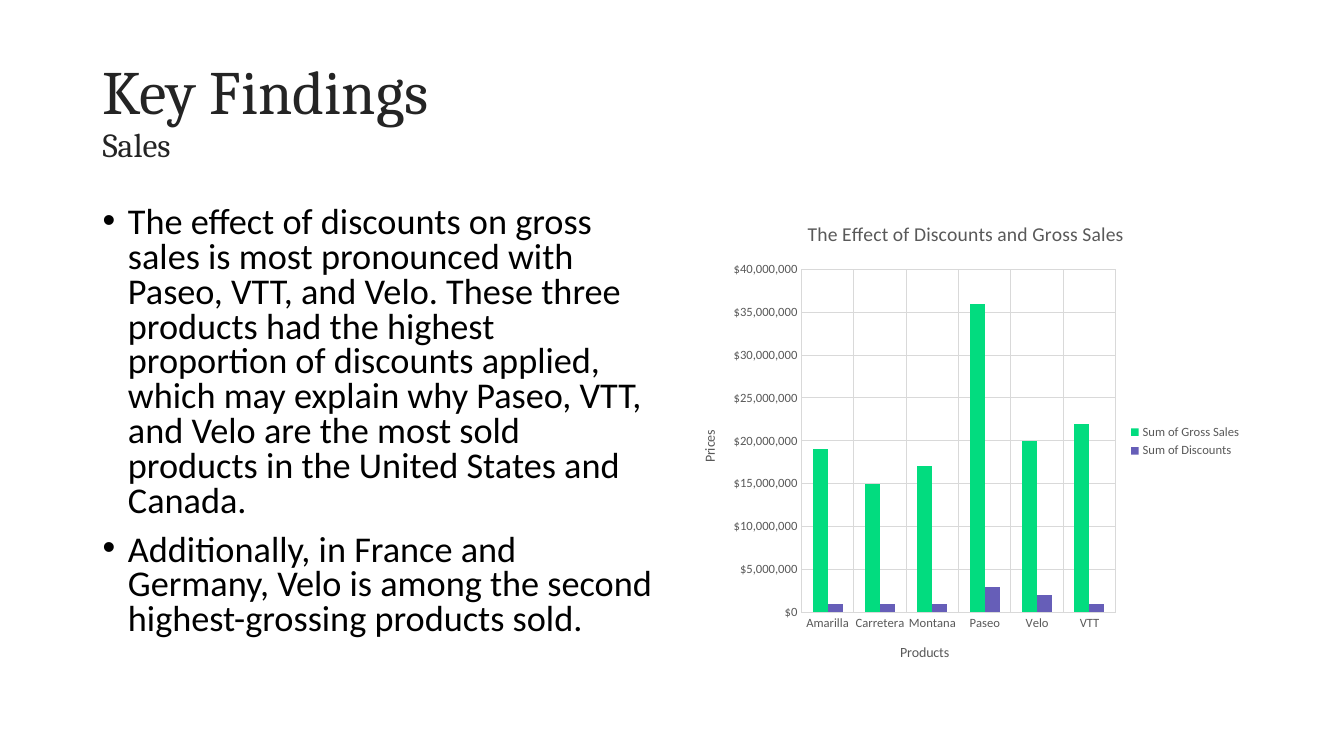
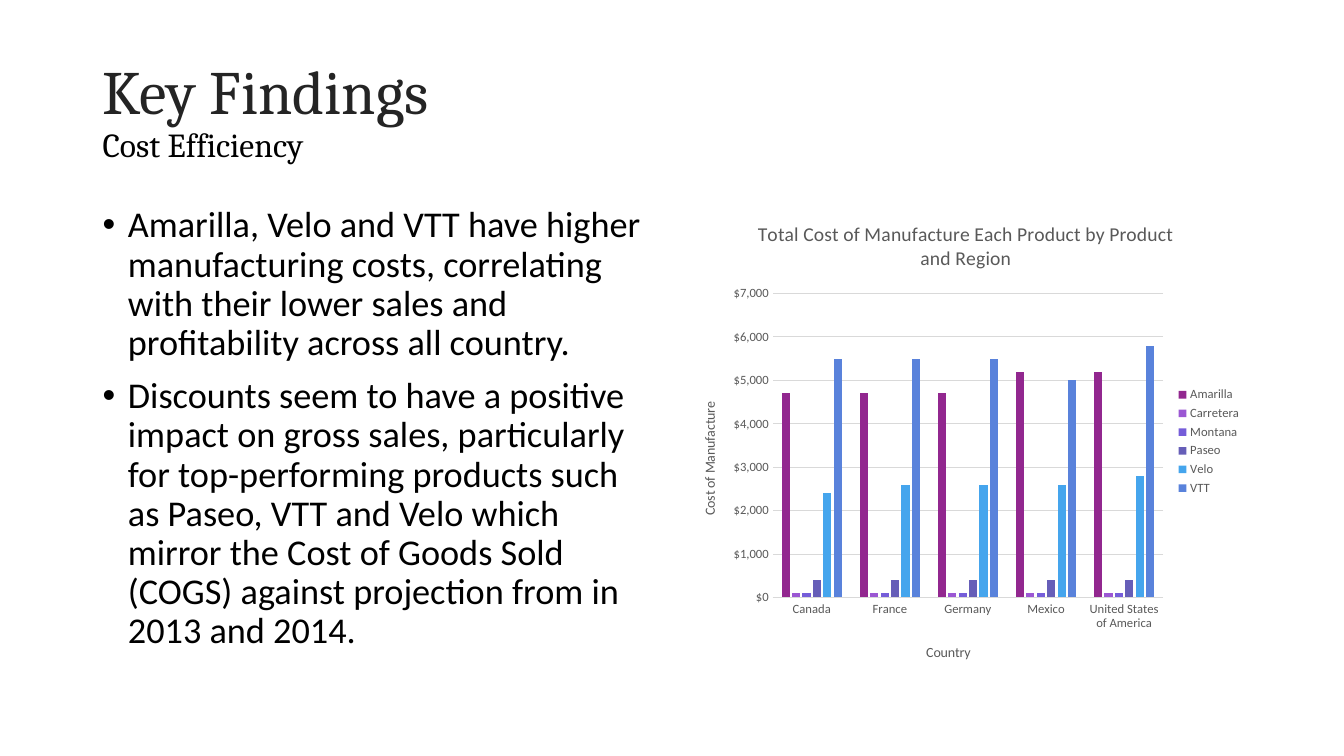
from pptx import Presentation
from pptx.chart.data import CategoryChartData
from pptx.dml.color import RGBColor
from pptx.enum.chart import XL_CHART_TYPE, XL_LEGEND_POSITION, XL_TICK_MARK
from pptx.enum.text import MSO_ANCHOR, MSO_AUTO_SIZE, PP_ALIGN
from pptx.oxml import parse_xml
from pptx.oxml.ns import nsdecls
from pptx.util import Cm, Pt

COLUMNS = XL_CHART_TYPE.COLUMN_CLUSTERED
RIGHT = XL_LEGEND_POSITION.RIGHT
NO_TICK = XL_TICK_MARK.NONE
MIDDLE = MSO_ANCHOR.MIDDLE
NO_FIT = MSO_AUTO_SIZE.NONE
LEFT = PP_ALIGN.LEFT

COLOURS = {
    "black": "000000", "ink": "242424", "grey": "595959", "grid": "D9D9D9",
    "green": "02DC7F", "purple": "92278F", "violet": "9B57D3",
    "indigo": "755DD9", "slate": "665EB8", "sky": "45A5ED", "blue": "5982DB",
}
HEAD_FONT, BODY_FONT = "Cambria", "Calibri"
DOLLARS = "[$$-409]#,##0"
MARGIN, TITLE_TOP, TITLE_W, TITLE_H = Cm(2.33), Cm(1.01), Cm(29.21), Cm(3.68)
CONTENT_TOP, CONTENT_W, CONTENT_H = Cm(5.08), Cm(14.4), Cm(12.09)
CHART_LEFT = MARGIN + TITLE_W - CONTENT_W
BULLET_INDENT = Cm(0.64)


def rgb(name):
    """Return the named colour."""
    return RGBColor.from_string(COLOURS[name])


def set_font(font, size, colour, name=BODY_FONT):
    """Set size, colour and typeface of a regular-weight font."""
    font.size, font.name, font.bold = Pt(size), name, False
    font.color.rgb = rgb(colour)


def place(sp, left, top, width, height):
    """Move and size a shape."""
    sp.left, sp.top, sp.width, sp.height = left, top, width, height


def add_title(slide, subtitle, colour):
    """Fill the title with the heading and a smaller subtitle below it."""
    sp = slide.shapes.title
    place(sp, MARGIN, TITLE_TOP, TITLE_W, TITLE_H)
    tf = sp.text_frame
    tf.vertical_anchor, tf.auto_size = MIDDLE, NO_FIT
    p = tf.paragraphs[0]
    p.alignment, p.line_spacing = LEFT, 0.9
    r = p.add_run()
    r.text = "Key Findings"
    set_font(r.font, 44, "ink", HEAD_FONT)
    p.add_line_break()
    r = p.add_run()
    r.text = subtitle
    set_font(r.font, 24, colour, HEAD_FONT)


def add_bullets(slide, items, spacing):
    """Fill the body placeholder with a bulleted list."""
    sp = slide.placeholders[1]
    place(sp, MARGIN, CONTENT_TOP, CONTENT_W, CONTENT_H)
    tf = sp.text_frame
    tf.auto_size = NO_FIT
    tf.text = "\n".join(items)
    for p in tf.paragraphs:
        p.line_spacing, p.space_before = spacing, Pt(10)
        set_font(p.font, 25.9, "black")
        pPr = p._p.get_or_add_pPr()
        pPr.set("marL", str(BULLET_INDENT))
        pPr.set("indent", str(-BULLET_INDENT))
        bullet = parse_xml(f'<a:buChar {nsdecls("a")} char="•"/>')
        pPr.insert_element_before(bullet, "a:tabLst", "a:defRPr", "a:extLst")


def set_title(owner, text, size):
    """Give a chart or an axis its title."""
    tf = owner.chart_title.text_frame if hasattr(owner, "chart_title") else owner.axis_title.text_frame
    tf.text = text
    set_font(tf.paragraphs[0].font, size, "grey")


def set_line(line):
    """Draw a thin line in the grid colour."""
    line.color.rgb = rgb("grid")
    line.width = Pt(0.75)


def format_axis(axis, title, grid):
    """Set the title, labels, ticks and gridlines of an axis."""
    set_title(axis, title, 10)
    set_font(axis.tick_labels.font, 9, "grey")
    axis.major_tick_mark = axis.minor_tick_mark = NO_TICK
    axis.has_major_gridlines = grid
    if grid:
        set_line(axis.major_gridlines.format.line)


def add_column_chart(slide, title, axis_titles, categories, series, top_value,
                     step, gap, overlap=0, category_grid=False):
    """Add a clustered column chart; series holds (name, colour, values)."""
    data = CategoryChartData(number_format=DOLLARS)
    data.categories = categories
    for name, _, values in series:
        data.add_series(name, values)
    chart = slide.shapes.add_chart(COLUMNS, CHART_LEFT, CONTENT_TOP,
                                   CONTENT_W, CONTENT_H, data).chart
    set_font(chart.font, 10, "black")
    set_title(chart, title, 14)
    chart.chart_title.include_in_layout = False

    chart.has_legend = True
    chart.legend.position = RIGHT
    chart.legend.include_in_layout = False
    set_font(chart.legend.font, 9, "grey")

    cat_axis, val_axis = chart.category_axis, chart.value_axis
    format_axis(cat_axis, axis_titles[0], category_grid)
    set_line(cat_axis.format.line)
    format_axis(val_axis, axis_titles[1], True)
    val_axis.format.line.fill.background()
    val_axis.minimum_scale, val_axis.maximum_scale = 0, top_value
    val_axis.major_unit = step
    val_axis.tick_labels.number_format = DOLLARS
    val_axis.tick_labels.number_format_is_linked = False

    plot = chart.plots[0]
    plot.gap_width, plot.overlap, plot.vary_by_categories = gap, overlap, False
    for bars, (_, colour, _) in zip(plot.series, series):
        bars.format.fill.solid()
        bars.format.fill.fore_color.rgb = rgb(colour)
        bars.invert_if_negative = False


def add_finding(prs, subtitle, colour, bullets, spacing):
    """Add a slide with title and list, and return it."""
    s = prs.slides.add_slide(prs.slide_layouts[1])
    add_title(s, subtitle, colour)
    add_bullets(s, bullets, spacing)
    return s


def main():
    """Build and save the presentation."""
    prs = Presentation()
    prs.slide_width, prs.slide_height = Cm(33.87), Cm(19.05)
    products = ["Amarilla", "Carretera", "Montana", "Paseo", "Velo", "VTT"]

    s = add_finding(prs, "Sales", "ink", [
        "The effect of discounts on gross sales is most pronounced with Paseo, "
        "VTT, and Velo. These three products had the highest proportion of "
        "discounts applied, which may explain why Paseo, VTT, and Velo are the "
        "most sold products in the United States and Canada.",
        "Additionally, in France and Germany, Velo is among the second "
        "highest-grossing products sold.",
    ], 0.8)
    add_column_chart(
        s, "The Effect of Discounts and Gross Sales", ("Products", "Prices"),
        products, [
            ("Sum of Gross Sales", "green",
             [19000000, 15000000, 17000000, 36000000, 20000000, 22000000]),
            ("Sum of Discounts", "slate",
             [1000000, 1000000, 1000000, 3000000, 2000000, 1000000]),
        ], 40000000, 5000000, gap=150, category_grid=True)

    s = add_finding(prs, "Cost Efficiency", "black", [
        "Amarilla, Velo and VTT have higher manufacturing costs, correlating "
        "with their lower sales and profitability across all country.",
        "Discounts seem to have a positive impact on gross sales, particularly "
        "for top-performing products such as Paseo, VTT and Velo which mirror "
        "the Cost of Goods Sold (COGS) against projection from in 2013 and 2014.",
    ], 0.9)
    costs = [
        [4700, 4700, 4700, 5200, 5200],
        [100] * 5,
        [100] * 5,
        [400] * 5,
        [2400, 2600, 2600, 2600, 2800],
        [5500, 5500, 5500, 5000, 5800],
    ]
    hues = ["purple", "violet", "indigo", "slate", "sky", "blue"]
    add_column_chart(
        s, "Total Cost of Manufacture Each Product by Product and Region",
        ("Country", "Cost of Manufacture"),
        ["Canada", "France", "Germany", "Mexico", "United States of America"],
        list(zip(products, hues, costs)), 7000, 1000, gap=219, overlap=-27)

    prs.save("out.pptx")


if __name__ == "__main__":
    main()
